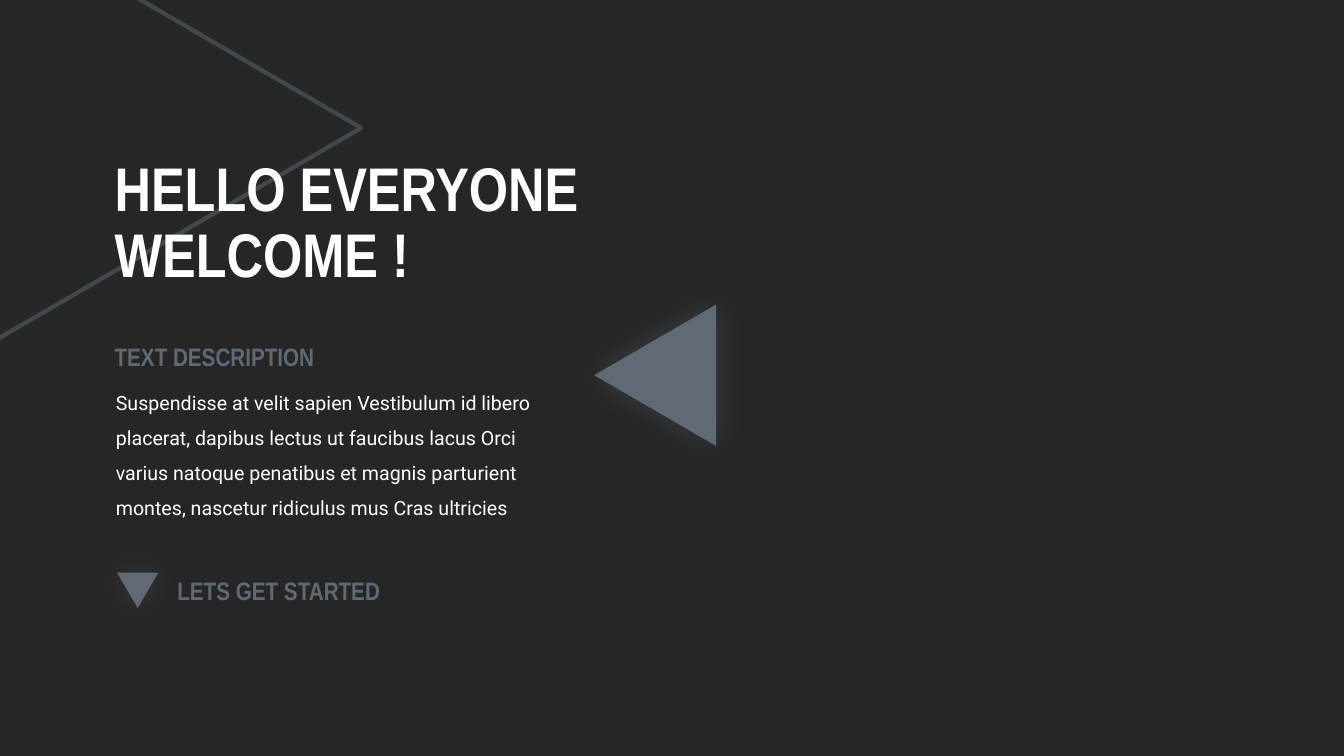
"""Build a dark welcome slide with triangle accents."""
from dataclasses import dataclass

import lxml.etree
import pptx
import pptx.dml.color
import pptx.enum.shapes
import pptx.enum.text
import pptx.oxml.ns
import pptx.util

Cm = pptx.util.Cm
Pt = pptx.util.Pt
RGB = pptx.dml.color.RGBColor
qn = pptx.oxml.ns.qn
Fit = pptx.enum.text.MSO_AUTO_SIZE
Anchor = pptx.enum.text.MSO_ANCHOR


@dataclass(frozen=True)
class Theme:
    dark: str = "262626"
    slate: str = "606A74"
    white: str = "FFFFFF"
    head: str = "Arial Narrow"
    body: str = "Roboto"
    large: int = 44
    mid: int = 18
    small: int = 14


THEME = Theme()


def put(item, values):
    for name, value in values.items():
        setattr(item, name, value)


def fade(color, share):
    lxml.etree.SubElement(color, qn("a:alpha"), val=str(share * 1000))


def glow(shape):
    shape.shadow.inherit = False
    effects = shape.element.spPr.find(qn("a:effectLst"))
    shadow = lxml.etree.SubElement(
        effects, qn("a:outerShdw"), blurRad=str(Pt(25)), dist="0", dir="0",
        algn="ctr", rotWithShape="0")
    fade(lxml.etree.SubElement(shadow, qn("a:srgbClr"), val=THEME.slate), 35)


def add_wedge(slide, box, turn, filled=True):
    kind = pptx.enum.shapes.MSO_SHAPE.ISOSCELES_TRIANGLE
    shape = slide.shapes.add_shape(kind, *map(Cm, box))
    shape.rotation = turn
    tint = RGB.from_string(THEME.slate)
    if filled:
        shape.fill.solid()
        shape.fill.fore_color.rgb = tint
        shape.line.fill.background()
    else:
        shape.fill.background()
        shape.line.color.rgb = tint
        shape.line.width = Pt(3)
        line = shape.element.spPr.find(qn("a:ln"))
        fade(next(line.iter(qn("a:srgbClr"))), 50)
    glow(shape)


def add_text(slide, box, words, font, color, frame=None, space=1.0):
    text = slide.shapes.add_textbox(*map(Cm, box)).text_frame
    put(text, {"word_wrap": True, "auto_size": Fit.SHAPE_TO_FIT_TEXT,
               **(frame or {})})
    para = text.paragraphs[0]
    put(para, {"text": words, "line_spacing": space})
    for run in para.runs:
        put(run.font, font)
        run.font.color.rgb = RGB.from_string(color)


def main():
    deck = pptx.Presentation()
    put(deck, {"slide_width": Cm(33.87), "slide_height": Cm(19.05)})
    slide = deck.slides.add_slide(deck.slide_layouts[6])
    back = slide.background.fill
    back.solid()
    back.fore_color.rgb = RGB.from_string(THEME.dark)

    title = {"name": THEME.head, "size": Pt(THEME.large), "bold": True}
    label = {**title, "size": Pt(THEME.mid)}
    body = {"name": THEME.body, "size": Pt(THEME.small)}

    add_wedge(slide, (-1.32, -1.6, 11.2, 9.65), 90, filled=False)
    add_text(slide, (2.64, 3.66, 19.05, 4.01), "HELLO EVERYONE\vWELCOME !",
             title, THEME.white,
             {"auto_size": Fit.NONE, "vertical_anchor": Anchor.MIDDLE}, 0.9)
    add_wedge(slide, (14.73, 7.92, 3.56, 3.07), 270)
    add_text(slide, (2.67, 9.42, 11.46, 3.76),
             "Suspendisse at velit sapien Vestibulum id libero placerat, "
             "dapibus lectus ut faucibus lacus Orci varius natoque penatibus "
             "et magnis parturient montes, nascetur ridiculus mus Cras "
             "ultricies", body, THEME.white, space=1.5)
    add_wedge(slide, (2.95, 14.43, 1.04, 0.89), 180)
    for left, top, words in ((2.64, 8.48, "TEXT DESCRIPTION"),
                             (4.22, 14.38, "LETS GET STARTED")):
        add_text(slide, (left, top, 6.22, 1.02), words, label, THEME.slate)

    deck.save("out.pptx")


if __name__ == "__main__":
    main()
